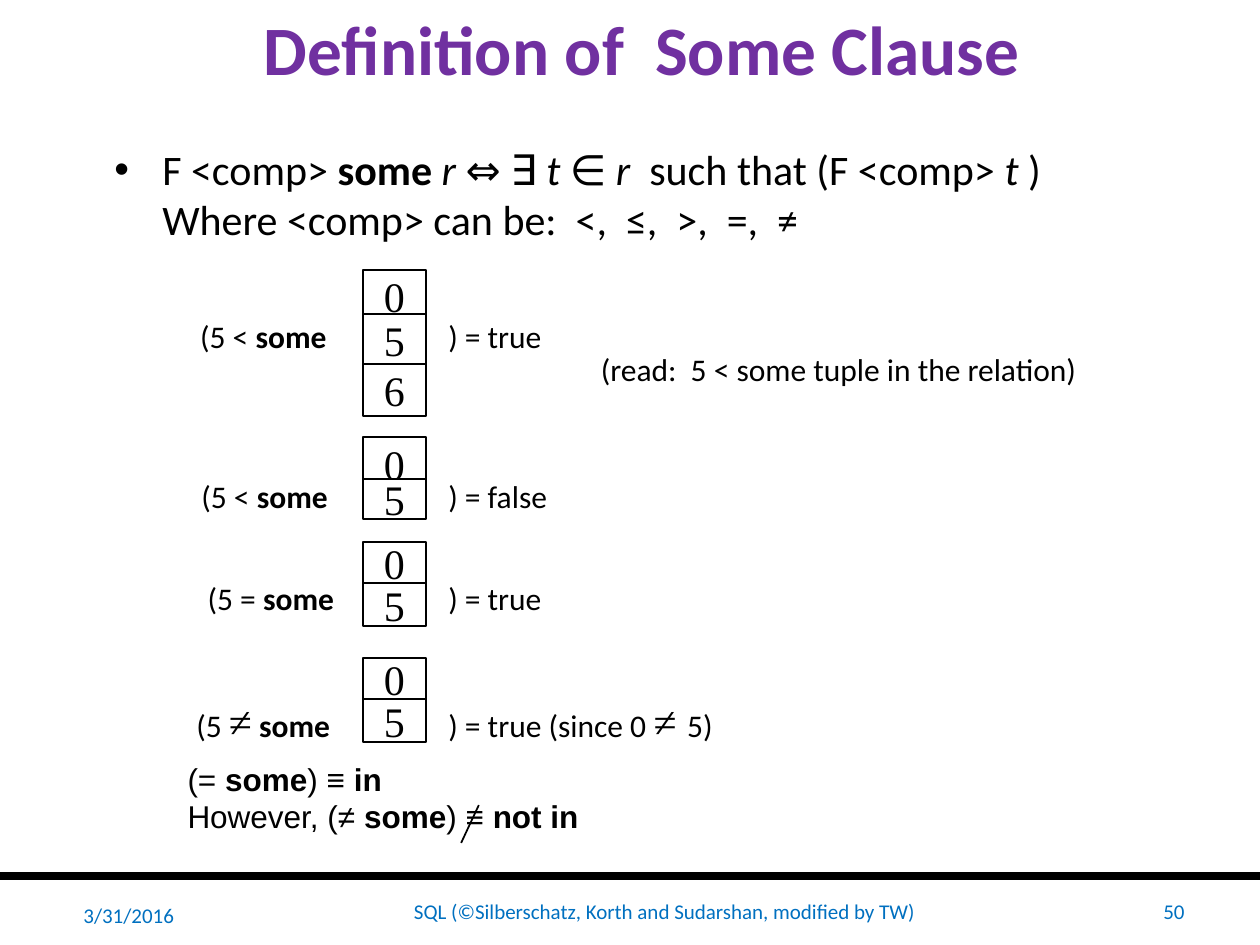
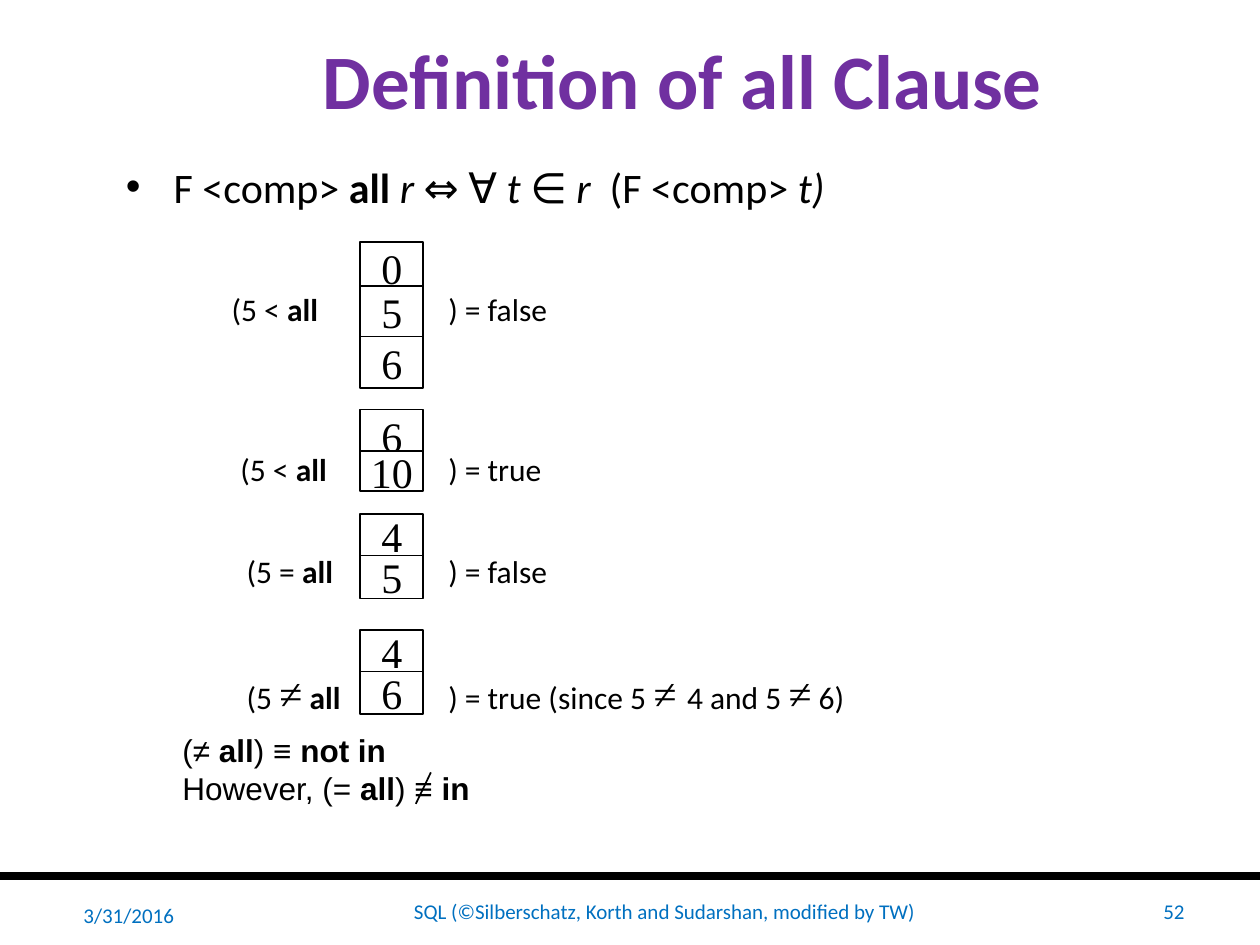
from lxml import etree
from pptx import Presentation
from pptx.dml.color import RGBColor
from pptx.enum.shapes import MSO_CONNECTOR, MSO_SHAPE
from pptx.enum.text import MSO_ANCHOR, MSO_AUTO_SIZE, PP_ALIGN
from pptx.oxml.ns import qn
from pptx.util import Inches, Pt

LEFT, CENTER, RIGHT = PP_ALIGN.LEFT, PP_ALIGN.CENTER, PP_ALIGN.RIGHT
TOP, MIDDLE = MSO_ANCHOR.TOP, MSO_ANCHOR.MIDDLE
NO_FIT, GROW = MSO_AUTO_SIZE.NONE, MSO_AUTO_SIZE.SHAPE_TO_FIT_TEXT
STRAIGHT, RECTANGLE = MSO_CONNECTOR.STRAIGHT, MSO_SHAPE.RECTANGLE

COLORS = {
    "title": "7030A0",
    "ink": "000000",
    "paper": "FFFFFF",
    "footer": "0070C0",
}
SANS, SERIF, PLAIN = "Calibri", "Times New Roman", "Arial"

STACKS = [
    [(0, 0.41), (0.35, 0.41), (0.75, 0.41)],
    [(1.33, 0.42), (1.66, 0.32)],
    [(2.16, 0.34), (2.49, 0.34)],
    [(3.08, 0.34), (3.41, 0.34)],
]
LABEL_OFFSETS = [0.33, 1.6, 2.41, 3.33]
OPERATORS = ["<", "<", "=", "≠"]
NOT_EQUAL = ("≠", "serif")

CLAUSES = [
    {
        "title": "Definition of  Some Clause",
        "title_at": (0.68, 0.04, 8.83, 0.67),
        "title_size": 39.6,
        "number": "50",
        "word": "some",
        "body_at": (0.81, 1.09, 8.33, 0.9),
        "body": [
            ("F <comp> ", ""), ("some ", "bold"), ("r ", "italic"),
            ("⇔ ∃ ", ""), ("t ", "italic"), ("∈", ""), (" r  ", "italic"),
            ("such that (F <comp> ", ""), ("t ", "italic"), (")", ""),
            ("\n", ""), ("Where <comp> can be:  <,  ≤,  >,  =,  ≠", ""),
        ],
        "cells_at": (2.88, 2.14),
        "values": ["056", "05", "05", "05"],
        "question_lefts": [1.49, 1.5, 1.55, 1.46],
        "results": [
            (1.33, [(") = true", "")]),
            (1.33, [(") = false", "")]),
            (1.33, [(") = true", "")]),
            (2.75, [(") = true (since 0 ", ""), ("≠ ", "serif"), ("5)", "")]),
        ],
        "summary_at": (1.39, 5.98, 7.44, 0.78),
        "summary": [
            [("(= ", ""), ("some", "bold"), (") ≡ ", ""), ("in", "bold")],
            [("However, (≠ ", ""), ("some", "bold"), (") ≡ ", ""), ("not in", "bold")],
        ],
        "slash": (3.8, 6.39, 3.66, 6.69),
        "reading": "(read:  5 < some tuple in the relation)",
    },
    {
        "title": "Definition of all Clause",
        "title_at": (0.92, 0, 9, 1.25),
        "title_size": 44,
        "number": "52",
        "word": "all",
        "body_at": (0.9, 1.23, 7.26, 0.42),
        "body": [
            ("F <comp> ", ""), ("all ", "bold"), ("r ", "italic"),
            ("⇔ ∀ ", ""), ("t ", "italic"), ("∈", ""), (" r ", "italic"),
            (" (F <comp> ", ""), ("t)", "italic"),
        ],
        "cells_at": (2.86, 1.92),
        "values": ["056", ["6", "10"], "45", "46"],
        "question_lefts": [1.74, 1.81, 1.86, 1.86],
        "results": [
            (1.33, [(") = false", "")]),
            (1.33, [(") = true", "")]),
            (1.33, [(") = false", "")]),
            (5, [(") = true (since 5 ", ""), ("≠ ", "serif"),
                 ("4 and 5 ", ""), NOT_EQUAL, (" 6)", "")]),
        ],
        "summary_at": (1.35, 5.75, 7.44, 0.78),
        "summary": [
            [("(≠ ", ""), ("all", "bold"), (") ≡ ", ""), ("not in", "bold")],
            [("However, (= ", ""), ("all", "bold"), (") ≡ ", ""), ("in", "bold")],
        ],
        "slash": (3.42, 6.13, 3.3, 6.38),
        "reading": None,
    },
]


def write_text(box, lines, size, font=SANS, color="ink", align=LEFT,
               anchor=TOP, wrap=True, fit=NO_FIT):
    frame = box.text_frame
    frame.word_wrap = wrap
    frame.auto_size = fit
    frame.vertical_anchor = anchor
    for index, spans in enumerate(lines):
        para = frame.add_paragraph() if index else frame.paragraphs[0]
        para.alignment = align
        para.font.size = Pt(size)
        para.font.name = font
        para.font.color.rgb = RGBColor.from_string(COLORS[color])
        for text, style in spans:
            if text == "\n":
                para.add_line_break()
                continue
            span = para.add_run()
            span.text = text
            if style == "bold":
                span.font.bold = True
            elif style == "italic":
                span.font.italic = True
            elif style == "serif":
                span.font.name = SERIF
                span.font.size = Pt(24)
    return frame.paragraphs[0]


def draw_line(page, ends, width):
    line = page.shapes.add_connector(STRAIGHT, *map(Inches, ends))
    line.line.color.rgb = RGBColor.from_string(COLORS["ink"])
    line.line.width = Pt(width)
    etree.SubElement(line._element.spPr, qn("a:effectLst"))


deck = Presentation()
deck.slide_width, deck.slide_height = Inches(10), Inches(7.5)
title_only = deck.slide_layouts[5]

for clause in CLAUSES:
    page = deck.slides.add_slide(title_only)
    draw_line(page, (0, 6.95, 10, 6.95), 4.5)

    title = page.shapes.title
    title.left, title.top, title.width, title.height = map(Inches, clause["title_at"])
    write_text(title, [[(clause["title"], "bold")]], clause["title_size"],
               color="title", align=CENTER, anchor=MIDDLE)

    body = page.shapes.add_textbox(*map(Inches, clause["body_at"]))
    properties = write_text(body, [clause["body"]], 24)._p.get_or_add_pPr()
    properties.set("marL", str(Inches(0.38)))
    properties.set("indent", str(-Inches(0.38)))
    bullet_font = etree.Element(qn("a:buFont"), typeface=PLAIN)
    bullet = etree.Element(qn("a:buChar"), char="•")
    properties.find(qn("a:defRPr")).addprevious(bullet_font)
    bullet_font.addnext(bullet)

    cell_left, stack_top = clause["cells_at"]
    for stack, values in zip(STACKS, clause["values"]):
        for (offset, height), value in zip(stack, values):
            cell = page.shapes.add_shape(
                RECTANGLE, Inches(cell_left), Inches(stack_top + offset),
                Inches(0.5), Inches(height))
            cell.shadow.inherit = False
            cell.fill.solid()
            cell.fill.fore_color.rgb = RGBColor.from_string(COLORS["paper"])
            cell.line.color.rgb = RGBColor.from_string(COLORS["ink"])
            cell.line.width = Pt(1)
            write_text(cell, [[(value, "")]], 24, font=SERIF, align=CENTER,
                       anchor=MIDDLE, wrap=False)

    rows = zip(LABEL_OFFSETS, OPERATORS, clause["question_lefts"], clause["results"])
    for offset, operator, question_left, (result_width, result) in rows:
        if operator == "≠":
            height = 0.5
            question = [("(5 ", ""), NOT_EQUAL, (" ", ""), (clause["word"], "bold")]
        else:
            height = 0.4
            question = [(f"(5 {operator} ", ""), (clause["word"], "bold")]
        labels = [(question_left, 1.5, question), (3.46, result_width, result)]
        for left, width, spans in labels:
            label = page.shapes.add_textbox(
                Inches(left), Inches(stack_top + offset), Inches(width), Inches(height))
            write_text(label, [spans], 18, fit=GROW)

    if clause["reading"]:
        reading = page.shapes.add_textbox(*map(Inches, (4.67, 2.73, 4.24, 0.4)))
        write_text(reading, [[(clause["reading"], "")]], 18, fit=GROW)

    summary = page.shapes.add_textbox(*map(Inches, clause["summary_at"]))
    write_text(summary, clause["summary"], 18, font=PLAIN)
    draw_line(page, clause["slash"], 1)

    footers = [
        ((0.39, 7.03, 1.09, 0.47), "3/31/2016", RIGHT),
        ((1.64, 7.03, 7.27, 0.4),
         "SQL (©Silberschatz, Korth and Sudarshan, modified by TW)", CENTER),
        ((9.06, 7.03, 0.44, 0.4), clause["number"], RIGHT),
    ]
    for place, text, align in footers:
        footer = page.shapes.add_textbox(*map(Inches, place))
        write_text(footer, [[(text, "")]], 12, color="footer", align=align, anchor=MIDDLE)

deck.save("out.pptx")
